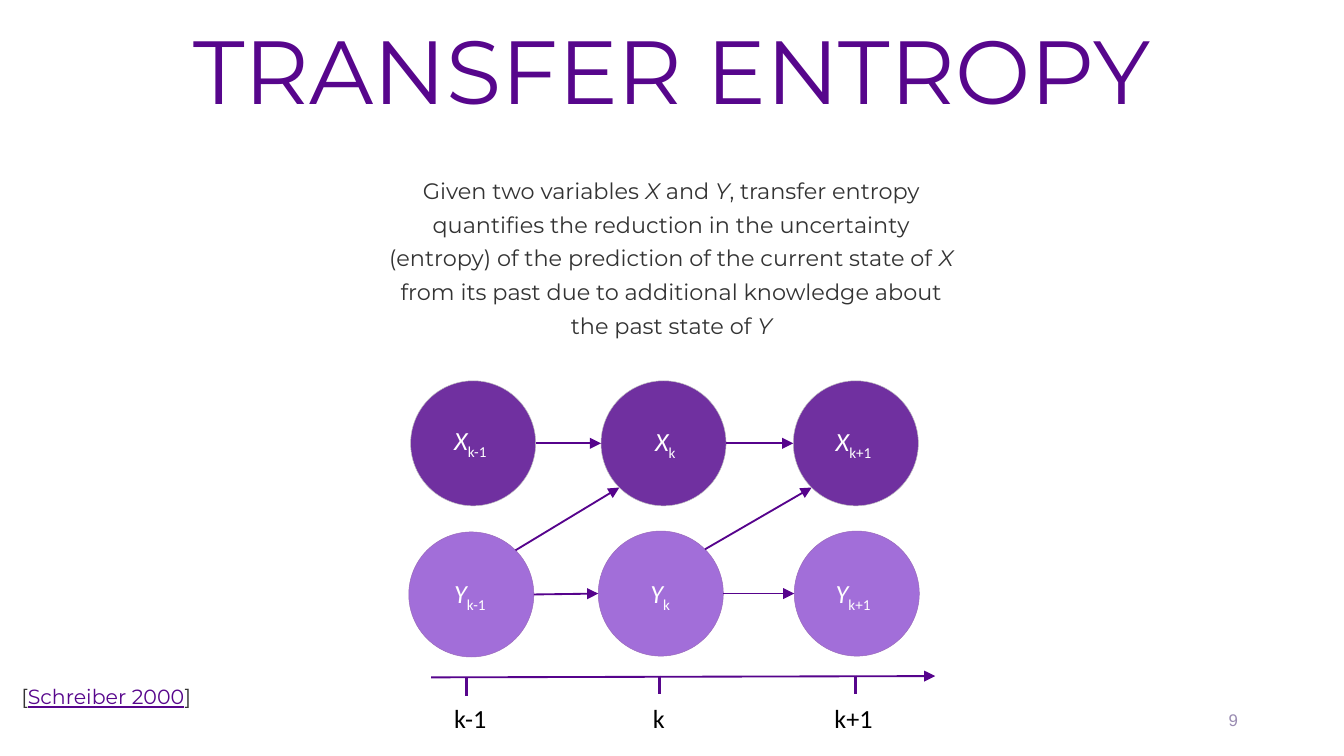
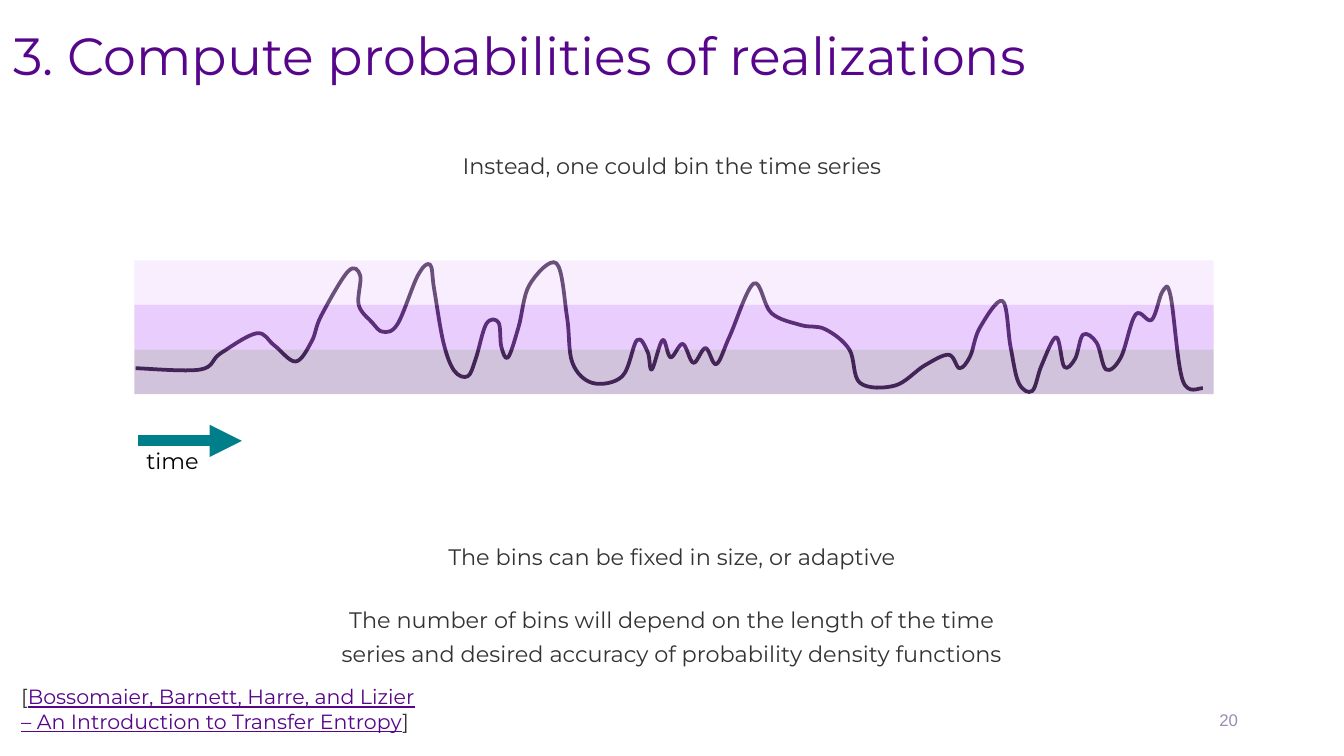
from dataclasses import dataclass
from math import sqrt
from lxml.etree import SubElement as Sub
from pptx import Presentation
from pptx.dml.color import RGBColor as RGB
from pptx.enum.shapes import MSO_CONNECTOR as Conn, MSO_SHAPE as Kind
from pptx.enum.text import MSO_ANCHOR as Anchor, MSO_AUTO_SIZE as Fit, PP_ALIGN as Align
from pptx.oxml.ns import qn
from pptx.util import Pt

HEAD = "TRANSFER ENTROPY"
GIVEN = [
    ("Given two variables ", ""), ("X", "i"), (" and ", ""), ("Y", "i"),
    (", transfer entropy quantifies the reduction in the uncertainty (entropy) "
     "of the prediction of the current state of ", ""), ("X", "i"),
    (" from its past due to additional knowledge about the past state of ", ""),
    ("Y", "i"),
]
STEPS = ["k-1", "k", "k+1"]
TICKS = [(250, 363), (353.5, 362), (458.5, 362)]
MARKS = [(236.2, 33), (342.7, 21.6), (439.9, 36.7)]
NODES = {
    "X": [(220, 204), (322, 204), (425, 204)],
    "Y": [(219, 285), (320.5, 284.5), (425.5, 284.5)],
}
NAMES = {
    "X": [(236.2, 224, 34), (343.4, 224.6, 26), (440.6, 224.6, 35)],
    "Y": [(236.2, 306, 34), (340.6, 306, 26), (440.6, 306, 35)],
}
STEP = "3. Compute probabilities of realizations"
INTRO = "Instead, one could bin the time series"
CLOSE = [
    "The bins can be fixed in size, or adaptive",
    "The number of bins will depend on the length of the time series "
    "and desired accuracy of probability density functions",
]
CURVE = [
    (72.7, 197.3), (107.3, 198), (118.1, 189.4), (137.5, 178.6), (146.9, 185),
    (158.4, 193.7), (167, 182.9), (172.1, 169.2), (186.5, 145.4), (193, 147.6),
    (192.2, 163.4), (199.4, 172.8), (205.2, 177.8), (213.1, 173.5), (223.9, 147.6),
    (230.4, 141.8), (232.6, 154.8), (237.6, 183.6), (243.4, 198.7), (250.6, 201.6),
    (254.9, 192.2), (260.6, 173.5), (267.1, 172.8), (268.6, 185.8), (272.2, 191.5),
    (277.9, 175), (283.7, 152.6), (298.1, 141.1), (303.8, 169.9), (306.7, 194.4),
    (317.5, 205.2), (333.4, 201.6), (341.3, 182.2), (347, 188.6), (349.2, 198),
    (355, 182.2), (359.3, 191.5), (365.8, 184.3), (371.5, 194.4), (378, 186.5),
    (383.8, 195.1), (391, 180), (403.9, 151.9), (413.3, 167.8), (429.1, 174.2),
    (442.1, 176.4), (455, 187.2), (460.8, 205.2), (479.5, 206.6), (495.4, 195.8),
    (508.3, 190.1), (514.1, 197.3), (519.8, 190.8), (524.9, 175.7), (537.1, 161.3),
    (541.4, 185.8), (545.8, 205.2), (553, 209.5), (558, 195.8), (565.9, 180.7),
    (570.2, 196.6), (576, 192.2), (580.3, 179.3), (587.5, 183.6), (592.6, 198),
    (600.5, 191.5), (608.4, 168.5), (617, 171.4), (622.8, 156.2), (627.1, 158.4),
    (633.6, 203.8), (644.4, 208.1),
]


@dataclass(frozen=True)
class Theme:
    main: str = "57068C"
    arrow: str = "56038C"
    text: str = "333333"
    black: str = "000000"
    white: str = "FFFFFF"
    page: str = "9A8CB2"
    teal: str = "007E8A"
    curve: str = "432E52"
    nodes: tuple = (("X", "7030A0", "BFBFBF"), ("Y", "A26ED9", "9A6ABA"))
    bands: tuple = ("E2B9FC", "A72EF6", "410569")
    face: str = "Montserrat"
    math: str = "Calibri"
    plain: str = "Arial"
    big: int = 48
    head: int = 28
    node: int = 14
    body: int = 12
    cite: int = 11
    num: int = 9


T = Theme()


def rgb(code):
    return RGB.from_string(code)


def write(slide, box, paras, size, color, face=T.face, align=Align.LEFT,
          inset=3.6, lead=None, after=None, wrap=True, grow=False):
    shape = slide.shapes.add_textbox(*map(Pt, box))
    frame = shape.text_frame
    frame.word_wrap = wrap
    frame.auto_size = Fit.SHAPE_TO_FIT_TEXT if grow else Fit.NONE
    frame.margin_left = frame.margin_right = Pt(7.2)
    frame.margin_top = frame.margin_bottom = Pt(inset)
    for i, parts in enumerate(paras):
        para = frame.add_paragraph() if i else frame.paragraphs[0]
        para.alignment = align
        if lead:
            para.line_spacing = lead
        if after:
            para.space_after = Pt(after)
        for words, style in [(parts, "")] if isinstance(parts, str) else parts:
            run = para.add_run()
            run.text = words
            font = run.font
            font.name, font.size = face, Pt(size)
            font.color.rgb = rgb(T.main if style == "u" else color)
            font.italic = style == "i"
            font.underline = style == "u"
            if style == "sub":
                font._element.set("baseline", "-25000")
    return shape


def body(slide, box, paras):
    write(slide, box, paras, T.body, T.text, align=Align.CENTER,
          inset=7.2, lead=1.25, after=16)


def foot(slide, page, cite, wide, high):
    num = write(slide, (508.3, 375, 162, 21.6), [page], T.num, T.page,
                T.plain, Align.RIGHT)
    num.text_frame.vertical_anchor = Anchor.MIDDLE
    write(slide, (4.3, 363, wide, high), [[("[", ""), (cite, "u"), ("]", "")]],
          T.cite, T.text, grow=True)


def label(slide, box, parts, color, align=Align.LEFT, face=T.math, size=T.node):
    write(slide, box, [parts], size, color, face, align, wrap=False, grow=True)


def stroke(slide, start, end, color, width, head=True):
    link = slide.shapes.add_connector(
        Conn.STRAIGHT, *map(Pt, (*start, *end)))
    link.line.color.rgb = rgb(color)
    link.line.width = Pt(width)
    if head:
        Sub(link.line._get_or_add_ln(), qn("a:tailEnd"), type="triangle")
    Sub(link._element.spPr, qn("a:effectLst"))


def solid(slide, kind, box, fill):
    shape = slide.shapes.add_shape(kind, *map(Pt, box))
    shape.shadow.inherit = False
    shape.fill.solid()
    shape.fill.fore_color.rgb = rgb(fill)
    return shape


def wave(slide, knots):
    ends = [knots[0], *knots, knots[-1]]
    spots = []
    for a, b, c, d in zip(ends, ends[1:], ends[2:], ends[3:]):
        spots += [
            tuple(q + (r - p) / 6 for p, q, r in zip(a, b, c)),
            tuple(r - (s - q) / 6 for q, r, s in zip(b, c, d)),
            c,
        ]
    pen = slide.shapes.build_freeform(*map(Pt, knots[0]))
    pen.add_line_segments([tuple(map(Pt, spot)) for spot in spots], close=False)
    shape = pen.convert_to_shape()
    segs = list(shape._element.iter(qn("a:lnTo")))
    for one, two, end in zip(segs[::3], segs[1::3], segs[2::3]):
        one.tag = qn("a:cubicBezTo")
        for seg in (two, end):
            one.append(seg[0])
            seg.getparent().remove(seg)
    shape.shadow.inherit = False
    shape.fill.background()
    shape.line.color.rgb = rgb(T.curve)
    shape.line.width = Pt(2)


def entropy(slide):
    write(slide, (24.5, 0.7, 671, 152.6), [HEAD], T.big, T.main,
          align=Align.CENTER, inset=7.2)
    body(slide, (198, 84.2, 323.3, 77.8), [GIVEN])
    foot(slide, "9", "Schreiber 2000", 162, 21)
    size = 67
    for name, fill, edge in T.nodes:
        for x, y in NODES[name]:
            dot = solid(slide, Kind.OVAL, (x, y, size, size), fill)
            dot.line.color.rgb = rgb(edge)
            dot.line.width = Pt(0.25)
    stroke(slide, (231, 362.9), (501, 362.2), T.arrow, 1)
    for step, (x, y), (left, wide) in zip(STEPS, TICKS, MARKS):
        stroke(slide, (x, y), (x, y + 10), T.main, 1.5, False)
        label(slide, (left, 372.5, wide, 24.5), step, T.black)
    for name, spots in NAMES.items():
        for step, (x, y, wide) in zip(STEPS, spots):
            align = Align.CENTER if step == "k" else Align.LEFT
            label(slide, (x, y, wide, 24.5), [(name, "i"), (step, "sub")],
                  T.white, align)
    half = size / 2
    for row in NODES.values():
        for (x, y), (u, v) in zip(row, row[1:]):
            stroke(slide, (x + size, y + half), (u, v + half), T.arrow, 1)
    near, far = half - half / sqrt(2), half + half / sqrt(2)
    for (x, y), (u, v) in zip(NODES["Y"], NODES["X"][1:]):
        stroke(slide, (x + far, y + near), (u + near, v + far), T.arrow, 1)


def bins(slide):
    write(slide, (0, 0, 720, 70.6), [STEP], T.head, T.main,
          inset=7.2, lead=1.15, after=16)
    foot(slide, "20", "Bossomaier, Barnett, Harre, and Lizier – "
         "An Introduction to Transfer Entropy", 228.2, 34)
    stroke(slide, (74, 236.2), (129.6, 236.2), T.teal, 5.75)
    label(slide, (71.3, 236.2, 43.2, 21.6), "time", T.black,
          face=T.face, size=T.body)
    wave(slide, CURVE)
    high = 23.9
    for i, color in enumerate(T.bands):
        band = solid(slide, Kind.RECTANGLE, (72, 139.5 + i * high, 578.2, high), color)
        band.line.fill.background()
        tint = next(band._element.spPr.iter(qn("a:srgbClr")))
        Sub(tint, qn("a:alpha"), val="24000")
    body(slide, (126.7, 70.6, 466.6, 41), [INTRO])
    body(slide, (169.2, 280, 381.6, 41), CLOSE)


def main():
    deck = Presentation()
    deck.slide_width, deck.slide_height = Pt(720), Pt(405)
    for draw in (entropy, bins):
        draw(deck.slides.add_slide(deck.slide_layouts[6]))
    deck.save("out.pptx")


if __name__ == "__main__":
    main()
